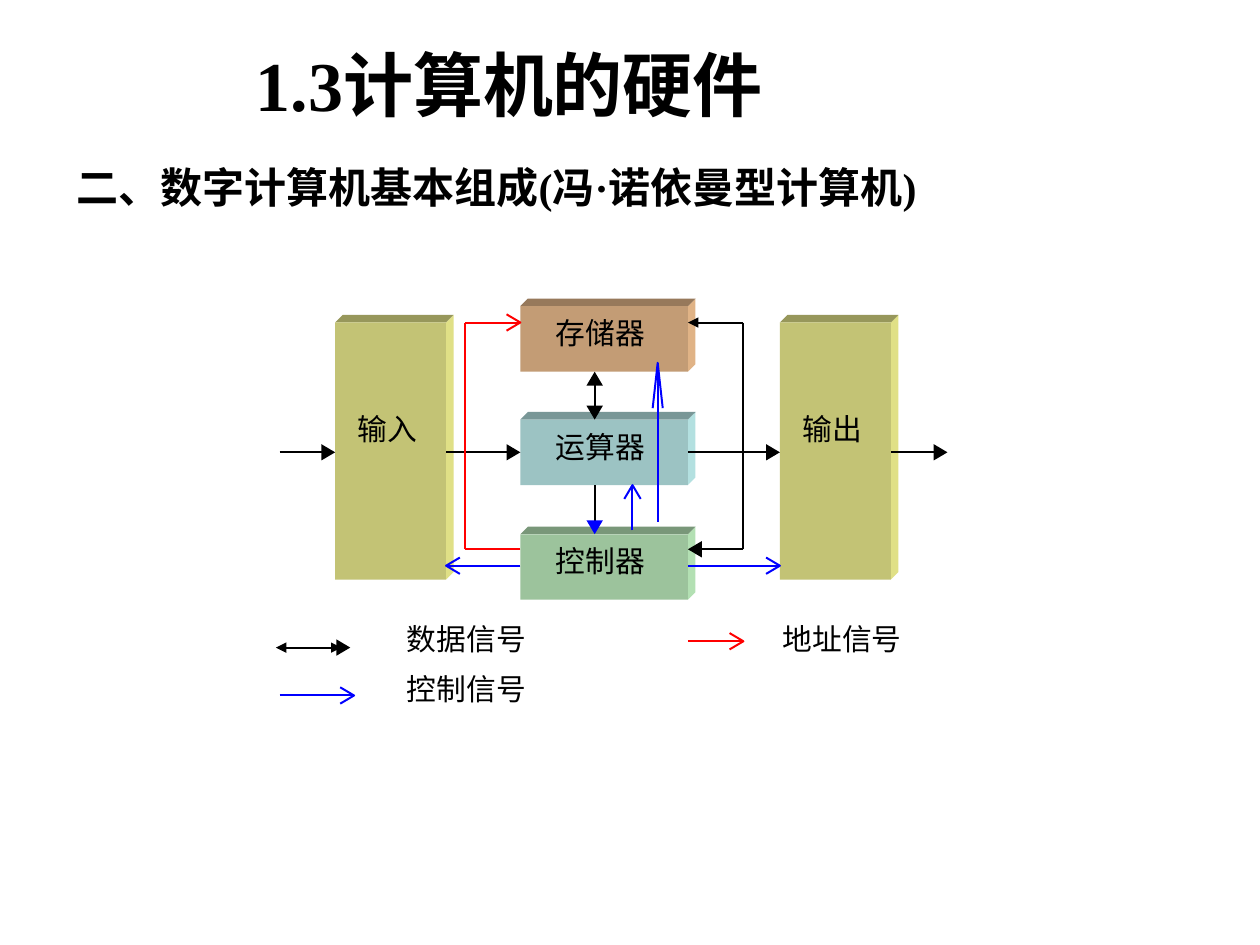
import pptx
import pptx.util
import pptx.dml.color
import pptx.enum.shapes
import pptx.enum.text
import pptx.oxml
import pptx.oxml.ns
from itertools import pairwise

SANS, SERIF = "Noto Sans CJK SC", "Times New Roman"
DATA, ADDRESS, CONTROL = "000000", "FF0000", "0000FF"
LINE_WIDTH, DEPTH, HEAD_GAP = 1.13, 0.06, 0.07

TITLE = "1.3计算机的硬件"
SUBTITLE = "二、数字计算机基本组成(冯·诺依曼型计算机)"

# Grid of the diagram, in inches
X = dict(entry=2.22, input=2.66, input_right=3.54, address_bus=3.69, core=4.13,
         middle=4.72, alu_control=5.02, memory_control=5.22, core_right=5.46,
         data_bus=5.9, output=6.19, output_right=7.07, exit=7.52)
Y = dict(memory=2.43, port=2.56, memory_bottom=2.95, alu=3.33, flow=3.59,
         alu_bottom=3.85, control=4.24, bus=4.36, order=4.49, side_bottom=4.6,
         legend=5.14, legend_next=5.52)
SIDE_SIZE = (X["input_right"] - X["input"], Y["side_bottom"] - Y["port"])
CORE_SIZE = (X["core_right"] - X["core"], Y["memory_bottom"] - Y["memory"])

# label, column, row, size, label offset, (front, top, side) colours
OLIVE = ("C3C375", "97975B", "E0E086")
UNITS = [
    ("存储器", "core", "memory", CORE_SIZE, (0.28, 0.07), ("C39C75", "97795B", "E0B386")),
    ("输出", "output", "port", SIDE_SIZE, (0.18, 0.7), OLIVE),
    ("输入", "input", "port", SIDE_SIZE, (0.18, 0.7), OLIVE),
    ("运算器", "core", "alu", CORE_SIZE, (0.28, 0.07), ("9CC3C3", "799797", "B3E0E0")),
    ("控制器", "core", "control", CORE_SIZE, (0.28, 0.07), ("9CC39C", "799779", "B3E0B3")),
]
LEGEND = [("数据信号", 3.23, 4.93), ("控制信号", 3.23, 5.32), ("地址信号", 6.21, 4.93)]

# kind of head: length, width, filled
HEADS = {"solid": (0.11, 0.13, True), "open": (0.11, 0.13, False),
         "tall": (0.36, 0.08, False)}


def at(column, row):
    return X[column], Y[row]


# colour, corner points, format of the ends
SIGNALS = [
    (DATA, [at("input_right", "flow"), at("core", "flow")], dict(end="solid")),
    (DATA, [at("core_right", "flow"), at("output", "flow")], dict(end="solid")),
    (DATA, [at("entry", "flow"), at("input", "flow")], dict(end="solid")),
    (DATA, [at("output_right", "flow"), at("exit", "flow")], dict(end="solid")),
    (DATA, [at("core_right", "port"), at("data_bus", "port"), at("data_bus", "bus"),
            at("core_right", "bus")], dict(start="triangle", end="solid")),
    (DATA, [at("middle", "memory_bottom"), at("middle", "alu")],
     dict(start="solid", end="solid")),
    (DATA, [at("middle", "alu_bottom"), at("middle", "control")],
     dict(end="solid", head_colour=CONTROL)),
    (ADDRESS, [at("core", "bus"), at("address_bus", "bus"), at("address_bus", "port"),
               at("core", "port")], dict(end="open")),
    (CONTROL, [at("core", "order"), at("input_right", "order")], dict(end="open")),
    (CONTROL, [at("core_right", "order"), at("output", "order")], dict(end="open")),
    (CONTROL, [(X["alu_control"], 4.21), at("alu_control", "alu_bottom")],
     dict(end="open")),
    (CONTROL, [(X["memory_control"], 4.14), (X["memory_control"], 2.88)],
     dict(end="tall")),
    (DATA, [(2.19, Y["legend"]), (2.78, Y["legend"])],
     dict(start="triangle", end="solid triangle")),
    (CONTROL, [at("entry", "legend_next"), (2.81, Y["legend_next"])], dict(end="open")),
    (ADDRESS, [(X["core_right"], 5.09), (X["data_bus"], 5.09)], dict(end="open")),
]


def inches(*values):
    return [pptx.util.Inches(value) for value in values]


def rgb(colour):
    return pptx.dml.color.RGBColor.from_string(colour)


def write_text(box, text, size, font=SANS, bold=False, margins=(0, 0),
               wrap=False, grow=True):
    frame = box.text_frame
    frame.word_wrap = wrap
    frame.auto_size = (pptx.enum.text.MSO_AUTO_SIZE.SHAPE_TO_FIT_TEXT if grow
                       else pptx.enum.text.MSO_AUTO_SIZE.NONE)
    frame.vertical_anchor = pptx.enum.text.MSO_ANCHOR.TOP
    frame.margin_left = frame.margin_right = pptx.util.Inches(margins[0])
    frame.margin_top = frame.margin_bottom = pptx.util.Inches(margins[1])
    para = frame.paragraphs[0]
    para.alignment = pptx.enum.text.PP_ALIGN.LEFT
    span = para.add_run()
    span.text = text
    span.font.size = pptx.util.Pt(size)
    span.font.name = font
    span.font.bold = bold
    span.font.color.rgb = rgb("000000")
    east_asian = pptx.oxml.parse_xml(
        f'<a:ea {pptx.oxml.ns.nsdecls("a")} typeface="{SANS}"/>')
    span.font._element.find(pptx.oxml.ns.qn("a:latin")).addnext(east_asian)


def add_label(slide, text, left, top, size=17, width=0.95, height=0.28, **style):
    box = slide.shapes.add_textbox(*inches(left, top, width, height))
    write_text(box, text, size, **style)


def paint(shape, fill=None, line=None):
    shape.shadow.inherit = False
    if fill:
        shape.fill.solid()
        shape.fill.fore_color.rgb = rgb(fill)
    else:
        shape.fill.background()
    if line:
        shape.line.color.rgb = rgb(line)
        shape.line.width = pptx.util.Pt(LINE_WIDTH)
    else:
        shape.line.fill.background()


def add_outline(slide, points, close=True, **colours):
    first, *rest = [inches(*point) for point in points]
    builder = slide.shapes.build_freeform(*first, scale=1.0)
    builder.add_line_segments(rest, close=close)
    paint(builder.convert_to_shape(), **colours)


def add_unit(slide, label, left, top, size, offset, colours):
    """Draw a block with a front, a top and a right side."""
    front, roof, side = colours
    right, bottom = left + size[0], top + size[1]
    back_right, back_top = right + DEPTH, top - DEPTH
    add_outline(slide, [(right, bottom), (right, top), (back_right, back_top),
                        (back_right, bottom - DEPTH)], fill=side)
    add_outline(slide, [(right, top), (left, top), (left + DEPTH, back_top),
                        (back_right, back_top)], fill=roof)
    face = slide.shapes.add_shape(pptx.enum.shapes.MSO_SHAPE.RECTANGLE,
                                  *inches(left, top, *size))
    paint(face, fill=front)
    add_label(slide, label, left + offset[0], top + offset[1], width=0.24 * len(label))


def step_back(tip, other, distance, sideways=0):
    """Point at a distance from tip towards other, on an upright or level line."""
    dx, dy = [(b > a) - (b < a) for a, b in zip(tip, other)]
    return (tip[0] + dx * distance + dy * sideways,
            tip[1] + dy * distance + dx * sideways)


def add_line(slide, begin, end, colour, triangles):
    line = slide.shapes.add_connector(pptx.enum.shapes.MSO_CONNECTOR.STRAIGHT,
                                      *inches(*begin, *end))
    line.line.color.rgb = rgb(colour)
    line.line.width = pptx.util.Pt(LINE_WIDTH)
    namespace = pptx.oxml.ns.nsdecls("a")
    for tag in triangles:
        line.line._get_or_add_ln().append(
            pptx.oxml.parse_xml(f'<a:{tag} {namespace} type="triangle"/>'))
    line._element.spPr.append(pptx.oxml.parse_xml(f"<a:effectLst {namespace}/>"))


def add_signal(slide, colour, points, start="", end="", head_colour=None):
    ends = [(start, points[0], points[1]), (end, points[-1], points[-2])]
    corners = list(points)
    for index, (kind, tip, other) in zip((0, -1), ends):
        if "solid" in kind:
            corners[index] = step_back(tip, other, HEAD_GAP)
    segments = list(pairwise(corners))
    for index, (begin, finish) in enumerate(segments):
        triangles = ["headEnd"] if index == 0 and "triangle" in start else []
        if index == len(segments) - 1 and "triangle" in end:
            triangles.append("tailEnd")
        add_line(slide, begin, finish, colour, triangles)
    for kind, tip, other in ends:
        for name in HEADS.keys() & set(kind.split()):
            length, width, filled = HEADS[name]
            wings = [step_back(tip, other, length, side * width / 2) for side in (-1, 1)]
            paint_role = "fill" if filled else "line"
            add_outline(slide, [wings[0], tip, wings[1]], close=filled,
                        **{paint_role: head_colour or colour})


def main():
    deck = pptx.Presentation()
    deck.slide_width, deck.slide_height = inches(10, 7.5)
    slide = deck.slides.add_slide(deck.slide_layouts[5])
    title = slide.shapes.title
    title.left, title.top, title.width, title.height = inches(1.93, 0.28, 4.49, 0.77)
    heading = dict(font=SERIF, bold=True, margins=(0.1, 0.05), wrap=True)
    write_text(title, TITLE, 40, grow=False, **heading)
    add_label(slide, SUBTITLE, 0.51, 1.23, size=24, width=7.4, height=0.5, **heading)
    for label, column, row, *look in UNITS:
        add_unit(slide, label, *at(column, row), *look)
    for entry in LEGEND:
        add_label(slide, *entry)
    for colour, points, ends in SIGNALS:
        add_signal(slide, colour, points, **ends)
    deck.save("out.pptx")


if __name__ == "__main__":
    main()
